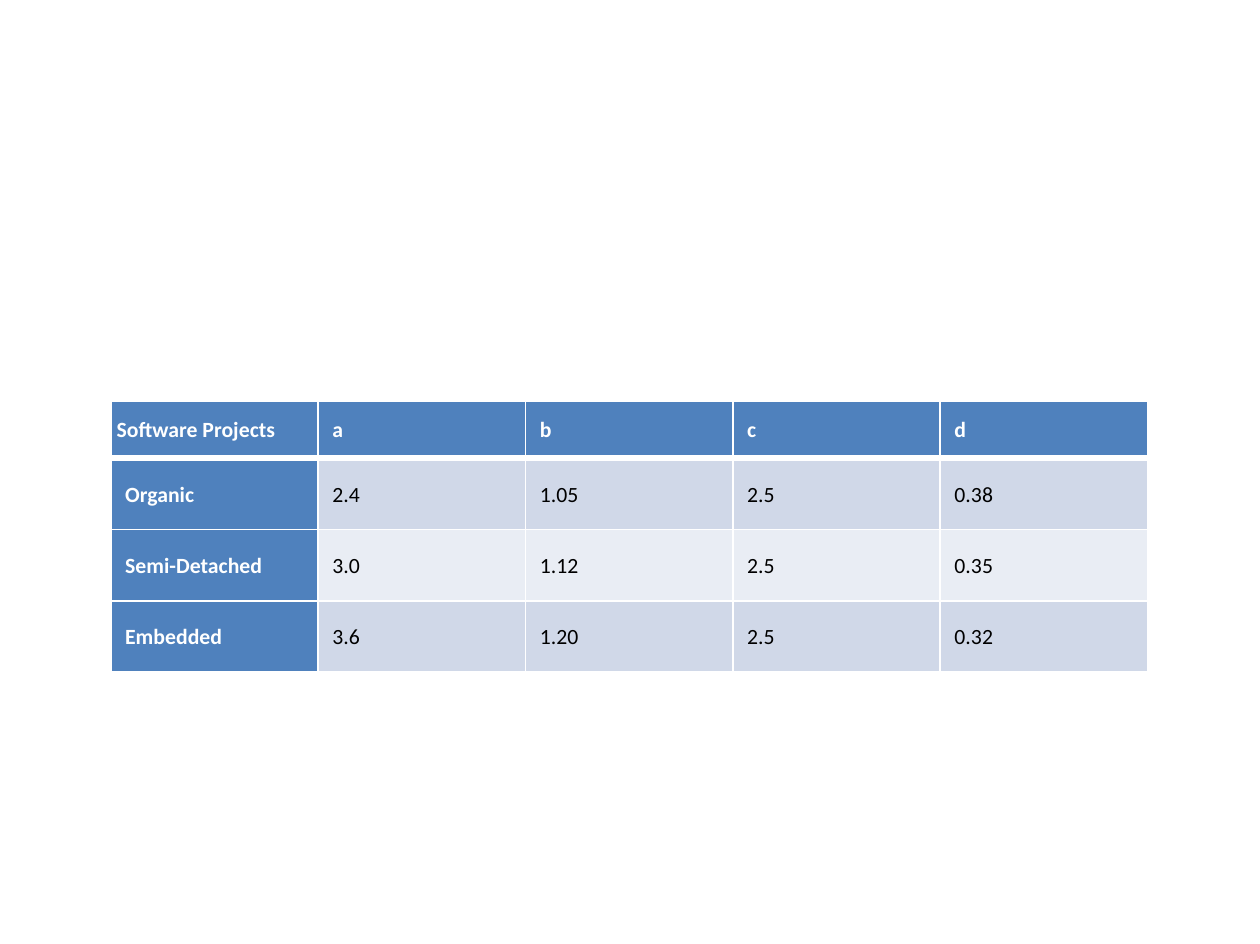
from lxml import etree
from pptx import Presentation
from pptx.dml.color import RGBColor
from pptx.enum import text
from pptx.oxml import ns
from pptx.util import Inches, Pt

BLUE, WHITE, BLACK = "4F81BD", "FFFFFF", "000000"
BANDS = ("D0D8E8", "E9EDF4")
COLUMN_WIDTH = 1.458
HEADER_HEIGHT, BODY_HEIGHT = 0.4, 0.49

COEFFICIENTS = [
    ("Software Projects", "a", "b", "c", "d"),
    ("Organic", "2.4", "1.05", "2.5", "0.38"),
    ("Semi-Detached", "3.0", "1.12", "2.5", "0.35"),
    ("Embedded", "3.6", "1.20", "2.5", "0.32"),
]


def colour(value):
    return RGBColor.from_string(value)


def set_borders(cell, widths):
    """Draw white left, right, top and bottom borders, in points."""
    properties = cell._tc.get_or_add_tcPr()
    for position, (side, width) in enumerate(zip("LRTB", widths)):
        line = etree.Element(ns.qn(f"a:ln{side}"), w=str(Pt(width)))
        fill = etree.SubElement(line, ns.qn("a:solidFill"))
        etree.SubElement(fill, ns.qn("a:srgbClr"), val=WHITE)
        properties.insert(position, line)


def write_cell(cell, wording, fill, font_colour, bold):
    cell.fill.solid()
    cell.fill.fore_color.rgb = colour(fill)
    para = cell.text_frame.paragraphs[0]
    para.line_spacing = 1.07
    para.space_after = Pt(8)
    span = para.add_run()
    span.text = wording
    span.font.name = "Calibri"
    span.font.size = Pt(11)
    span.font.bold = bold
    span.font.color.rgb = colour(font_colour)


def place_text(cell, anchor, side, upright):
    cell.vertical_anchor = anchor
    cell.margin_left = cell.margin_right = Inches(side)
    cell.margin_top = cell.margin_bottom = Inches(upright)


def add_coefficient_table(page, left, top):
    row_count, column_count = len(COEFFICIENTS), len(COEFFICIENTS[0])
    height = HEADER_HEIGHT + BODY_HEIGHT * (row_count - 1)
    table = page.shapes.add_table(
        row_count, column_count, Inches(left), Inches(top),
        Inches(COLUMN_WIDTH * column_count), Inches(height)).table
    table.first_col = True
    for column in table.columns:
        column.width = Inches(COLUMN_WIDTH)

    for r, values in enumerate(COEFFICIENTS):
        header = r == 0
        table.rows[r].height = Inches(HEADER_HEIGHT if header else BODY_HEIGHT)
        for c, wording in enumerate(values):
            cell = table.cell(r, c)
            heading = header or c == 0
            fill = BLUE if heading else BANDS[(r - 1) % 2]
            write_cell(cell, wording, fill, WHITE if heading else BLACK, heading)
            if header:
                place_text(cell, text.MSO_ANCHOR.BOTTOM, 0.04 if c == 0 else 0.1, 0.1)
            else:
                place_text(cell, text.MSO_ANCHOR.MIDDLE, 0.1, 0.15)
            # The rule under the header is heavier
            set_borders(cell, (1, 1, 3 if r == 1 else 1, 3 if header else 1))


def main():
    deck = Presentation()
    deck.slide_width, deck.slide_height = Inches(8.86), Inches(6.64)
    # Blank layout: the slide has no title
    page = deck.slides.add_slide(deck.slide_layouts[6])
    add_coefficient_table(page, 0.78, 2.82)
    deck.save("out.pptx")


if __name__ == "__main__":
    main()
